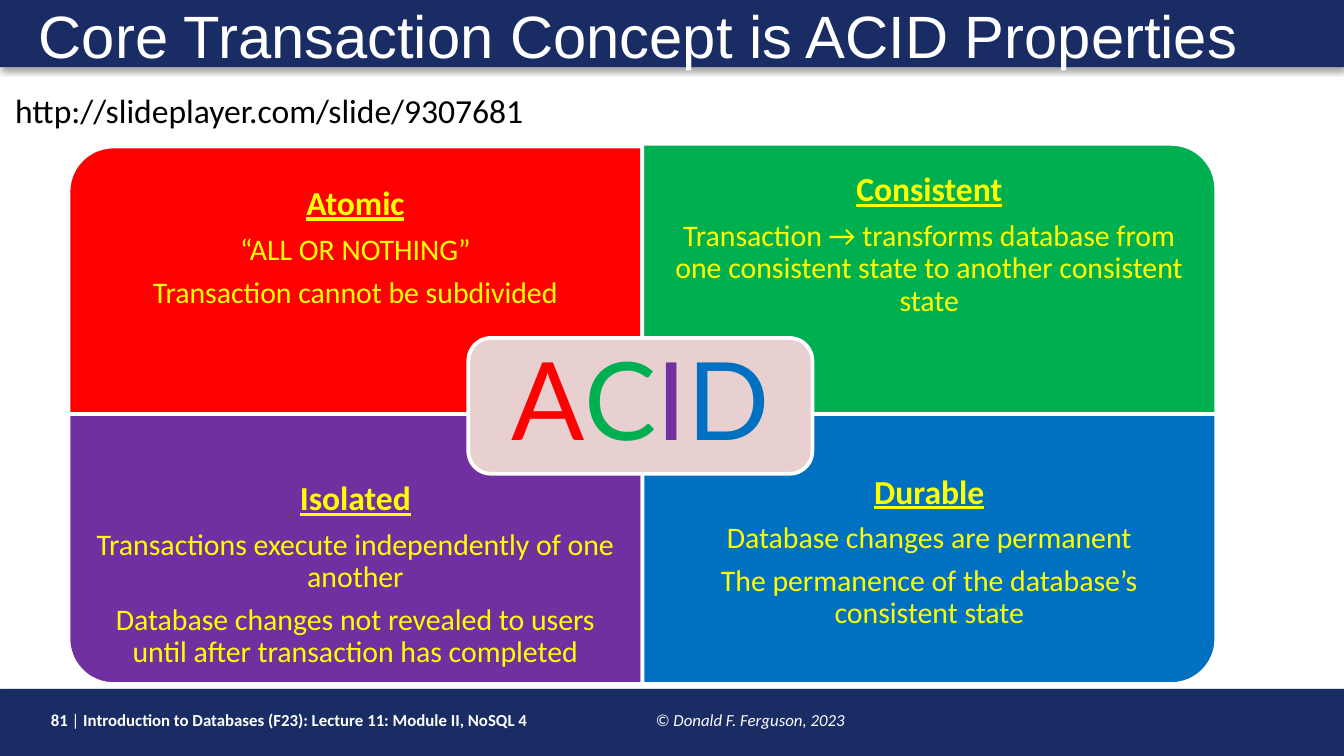
import dataclasses

import lxml.etree
import pptx
import pptx.dml.color
import pptx.enum.shapes
import pptx.enum.text
import pptx.oxml.ns
import pptx.util

SHAPE = pptx.enum.shapes.MSO_SHAPE
ANCHOR = pptx.enum.text.MSO_ANCHOR
ALIGN = pptx.enum.text.PP_ALIGN
SCALE = 4572  # EMU per px, 200 px to the inch


@dataclasses.dataclass(frozen=True)
class Theme:
    navy: str = "1A2C64"
    white: str = "FFFFFF"
    black: str = "000000"
    yellow: str = "FFFF00"
    red: str = "FF0000"
    green: str = "00B050"
    purple: str = "7030A0"
    blue: str = "0070C0"
    pink: str = "E8D0D0"
    body: str = "Calibri"
    head: str = "Arial"
    logo: str = "Lato"
    title: int = 32
    label: int = 18
    text: int = 16
    foot: int = 9
    big: int = 58


THEME = Theme()


@dataclasses.dataclass(frozen=True)
class Box:
    left: int
    top: int
    width: int
    height: int

    def emu(self) -> list[int]:
        return [n * SCALE for n in dataclasses.astuple(self)]

    def turned(self) -> "Box":
        """Swap width and height about the same centre."""
        shift = (self.width - self.height) // 2
        return Box(self.left + shift, self.top - shift, self.height, self.width)


@dataclasses.dataclass(frozen=True)
class Run:
    text: str
    size: int
    color: str
    font: str = THEME.body
    bold: bool = False
    italic: bool = False
    under: bool = False


@dataclasses.dataclass(frozen=True)
class Tile:
    name: str
    lines: tuple[str, ...]
    color: str
    box: Box
    angle: int
    area: Box
    anchor: ANCHOR
    inset: int


def rgb(color: str) -> pptx.dml.color.RGBColor:
    return pptx.dml.color.RGBColor.from_string(color)


def add_block(slide, kind: SHAPE, box: Box, fill: str, edge: str = "", angle: int = 0):
    shape = slide.shapes.add_shape(kind, *box.emu())
    shape.rotation = angle
    shape.shadow.inherit = False
    shape.fill.solid()
    shape.fill.fore_color.rgb = rgb(fill)
    if edge:
        shape.line.color.rgb = rgb(edge)
        shape.line.width = pptx.util.Pt(2)
    else:
        shape.line.fill.background()
    return shape


def add_bar(slide, box: Box) -> None:
    """Draw a navy band with a soft shadow below it."""
    bar = add_block(slide, SHAPE.RECTANGLE, box, THEME.navy)
    tag = pptx.oxml.ns.qn
    glow = bar._element.spPr.find(tag("a:effectLst"))
    shade = lxml.etree.SubElement(glow, tag("a:outerShdw"), blurRad="39370",
                                  dist="22860", dir="5400000", rotWithShape="0")
    tint = lxml.etree.SubElement(shade, tag("a:srgbClr"), val=THEME.black)
    lxml.etree.SubElement(tint, tag("a:alpha"), val="35000")


def add_text(slide, box: Box, paras: list[list[Run]], anchor=ANCHOR.TOP,
             align=ALIGN.LEFT, inset: tuple[int, ...] = (20, 10, 20, 10),
             pitch: float = 1.0, wrap: bool = True, tab: int = 0) -> None:
    frame = slide.shapes.add_textbox(*box.emu()).text_frame
    frame.word_wrap = wrap
    frame.vertical_anchor = anchor
    (frame.margin_left, frame.margin_top,
     frame.margin_right, frame.margin_bottom) = [n * SCALE for n in inset]
    for i, runs in enumerate(paras):
        para = frame.add_paragraph() if i else frame.paragraphs[0]
        para.alignment = align
        para.line_spacing = pitch
        if i < len(paras) - 1:
            para.space_after = pptx.util.Pt(round(runs[0].size * 0.35, 1))
        if tab:
            tag = pptx.oxml.ns.qn
            stops = lxml.etree.SubElement(para._p.get_or_add_pPr(), tag("a:tabLst"))
            lxml.etree.SubElement(stops, tag("a:tab"), pos=str(tab * SCALE), algn="l")
        for item in runs:
            run = para.add_run()
            run.text = item.text
            font = run.font
            font.name, font.size = item.font, pptx.util.Pt(item.size)
            font.bold, font.italic, font.underline = item.bold, item.italic, item.under
            font.color.rgb = rgb(item.color)


def add_tile(slide, tile: Tile) -> None:
    box = tile.box.turned() if tile.angle % 180 else tile.box
    add_block(slide, SHAPE.ROUND_1_RECTANGLE, box, tile.color, THEME.white, tile.angle)
    name = Run(tile.name, THEME.label, THEME.yellow, bold=True, under=True)
    lines = [[Run(line, THEME.text, THEME.yellow)] for line in tile.lines]
    add_text(slide, tile.area, [[name], *lines], tile.anchor, ALIGN.CENTER,
             (28, tile.inset, 28, 28), 0.9)


WEST, EAST, WIDE, TALL, DEEP = 102, 956, 854, 402, 302
TILES = (
    Tile("Atomic", ("“ALL OR NOTHING”", "Transaction cannot be subdivided"),
         THEME.red, Box(WEST, 218, WIDE, TALL), 270,
         Box(WEST, 218, WIDE, DEEP), ANCHOR.MIDDLE, 28),
    Tile("Consistent", ("Transaction → transforms database from one consistent "
                        "state to another consistent state",),
         THEME.green, Box(EAST, 214, WIDE, TALL), 0,
         Box(EAST, 214, WIDE, DEEP), ANCHOR.MIDDLE, 28),
    Tile("Isolated", ("Transactions execute independently of one another",
                      "Database changes not revealed to users until after "
                      "transaction has completed"),
         THEME.purple, Box(WEST, 616, WIDE, TALL), 180,
         Box(WEST, 717, WIDE, DEEP), ANCHOR.TOP, 0),
    Tile("Durable", ("Database changes are permanent",
                     "The permanence of the database’s consistent state"),
         THEME.blue, Box(EAST, 616, WIDE, TALL), 90,
         Box(EAST, 707, WIDE, DEEP), ANCHOR.TOP, 0),
)


def main() -> None:
    deck = pptx.Presentation()
    deck.slide_width, deck.slide_height = 2000 * SCALE, 1125 * SCALE
    slide = deck.slides.add_slide(deck.slide_layouts[6])

    add_bar(slide, Box(0, 1025, 2000, 100))
    foot = [
        Run("81 ", THEME.foot, THEME.white, bold=True),
        Run("|", THEME.foot, THEME.white),
        Run(" Introduction to Databases (F23): Lecture 11: Module II, NoSQL 4\t",
            THEME.foot, THEME.white, bold=True),
        Run("© Donald F. Ferguson, 2023", THEME.foot, THEME.white, italic=True),
    ]
    add_text(slide, Box(56, 1046, 1484, 50), [foot], tab=900)

    add_bar(slide, Box(0, 0, 2000, 100))
    title = Run("Core Transaction Concept is ACID Properties",
                THEME.title, THEME.white, THEME.head)
    add_text(slide, Box(38, 0, 1896, 96), [[title]], pitch=0.9)

    for tile in TILES:
        add_tile(slide, tile)

    add_block(slide, SHAPE.ROUNDED_RECTANGLE, Box(697, 503, 512, 202),
              THEME.pink, THEME.white)
    word = [Run(tile.name[0], THEME.big, tile.color, THEME.logo) for tile in TILES]
    add_text(slide, Box(707, 513, 492, 182), [word], ANCHOR.MIDDLE, ALIGN.CENTER,
             (48, 48, 48, 48), 0.9)

    link = Run("http://slideplayer.com/slide/9307681", THEME.label, THEME.black)
    add_text(slide, Box(3, 124, 806, 80), [[link]], wrap=False)
    deck.save("out.pptx")


if __name__ == "__main__":
    main()
